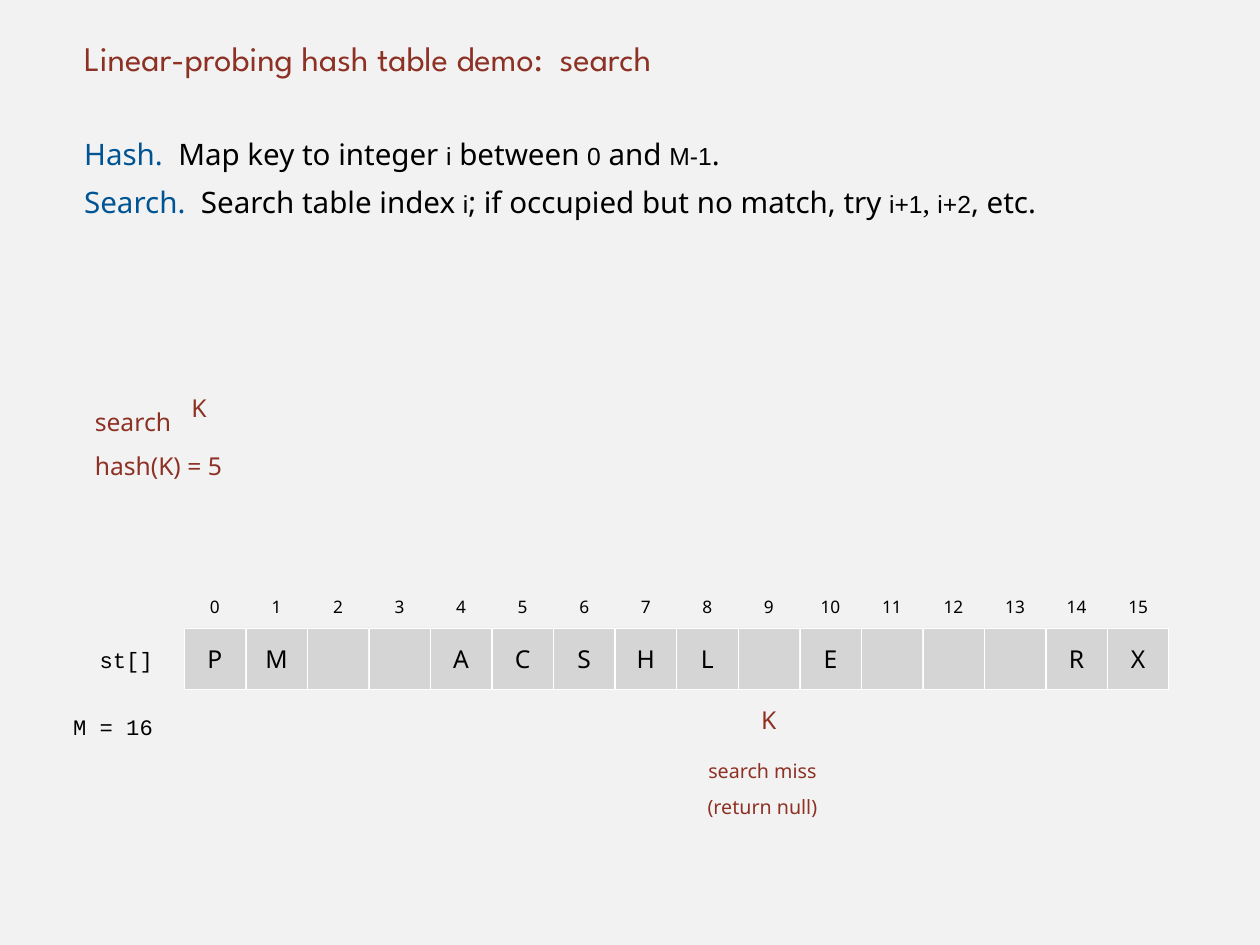
import dataclasses

import pptx
import pptx.dml.color
import pptx.enum.shapes
import pptx.enum.text
import pptx.util

Inches = pptx.util.Inches
Pt = pptx.util.Pt
ALIGN = pptx.enum.text.PP_ALIGN
ANCHOR = pptx.enum.text.MSO_ANCHOR


@dataclasses.dataclass(frozen=True)
class Theme:
    background: str = "F2F2F2"
    ink: str = "000000"
    accent: str = "8D3124"
    term: str = "005493"
    cell: str = "D5D5D5"
    border: str = "FFFFFF"
    title_font: str = "League Spartan"
    body_font: str = "Noto Sans"
    symbol_font: str = "Arial"
    serif_font: str = "Times New Roman"
    code_font: str = "Courier New"
    title_size: int = 28
    body_size: int = 24
    key_size: int = 20
    code_size: int = 18
    note_size: int = 16
    index_size: int = 14
    body_leading: int = 39
    indent: float = 0.06


def rgb(value):
    return pptx.dml.color.RGBColor.from_string(value)


class SlideBuilder:
    def __init__(self, prs, theme):
        self.theme = theme
        self.s = prs.slides.add_slide(prs.slide_layouts[5])
        fill = self.s.background.fill
        fill.solid()
        fill.fore_color.rgb = rgb(theme.background)

    def style_run(self, r, size, color, font):
        r.font.size = Pt(size)
        r.font.name = font
        r.font.color.rgb = rgb(color)

    def style_frame(self, sp, anchor, indent=0):
        tf = sp.text_frame
        tf.word_wrap = True
        tf.auto_size = pptx.enum.text.MSO_AUTO_SIZE.NONE
        tf.vertical_anchor = anchor
        tf.margin_left = Inches(indent)
        tf.margin_top = tf.margin_right = tf.margin_bottom = 0
        return tf

    def set_text(self, sp, text, size, color=None, font=None, align=ALIGN.CENTER,
                 anchor=ANCHOR.MIDDLE, spacing=1.0, indent=0):
        tf = self.style_frame(sp, anchor, indent)
        tf.text = text
        for p in tf.paragraphs:
            p.alignment = align
            p.line_spacing = spacing
            for r in p.runs:
                self.style_run(r, size, color or self.theme.ink,
                               font or self.theme.body_font)

    def box(self, left, top, width, height):
        return self.s.shapes.add_textbox(
            Inches(left), Inches(top), Inches(width), Inches(height))

    def title(self, text, left, top, width, height):
        sp = self.s.shapes.title
        sp.left, sp.top = Inches(left), Inches(top)
        sp.width, sp.height = Inches(width), Inches(height)
        th = self.theme
        self.set_text(sp, text, th.title_size, th.accent, th.title_font,
                      ALIGN.LEFT, ANCHOR.BOTTOM, indent=th.indent)

    def label(self, text, left, top, width, height, size, **style):
        self.set_text(self.box(left, top, width, height), text, size, **style)

    def definitions(self, lines, left, top, width, height):
        th = self.theme
        styles = {
            "term": (th.body_size, th.term, th.body_font),
            "text": (th.body_size, th.ink, th.body_font),
            "symbol": (th.key_size, th.ink, th.symbol_font),
            "serif": (th.body_size, th.ink, th.serif_font),
        }
        tf = self.style_frame(self.box(left, top, width, height),
                              ANCHOR.TOP, th.indent)
        for i, line in enumerate(lines):
            p = tf.add_paragraph() if i else tf.paragraphs[0]
            p.line_spacing = Pt(th.body_leading)
            for style, text in line:
                r = p.add_run()
                r.text = text
                self.style_run(r, *styles[style])

    def cell(self, key, left, top, side):
        sp = self.s.shapes.add_shape(
            pptx.enum.shapes.MSO_SHAPE.RECTANGLE,
            Inches(left), Inches(top), Inches(side), Inches(side))
        sp.shadow.inherit = False
        sp.fill.solid()
        sp.fill.fore_color.rgb = rgb(self.theme.cell)
        sp.line.color.rgb = rgb(self.theme.border)
        sp.line.width = Pt(0.5)
        self.set_text(sp, key, self.theme.key_size)


def main():
    prs = pptx.Presentation()
    prs.slide_width = Inches(14.22)
    prs.slide_height = Inches(10.67)
    th = Theme()
    s = SlideBuilder(prs, th)

    s.title("Linear-probing hash table demo:  search", 0.89, 0, 12.44, 0.89)
    s.definitions([
        [("term", "Hash.  "), ("text", "Map key to integer "), ("symbol", "i"),
         ("text", " between "), ("symbol", "0"), ("text", " and "),
         ("symbol", "M-1"), ("text", ".")],
        [("term", "Search.  "), ("text", "Search table index "), ("symbol", "i"),
         ("text", "; if occupied but no match, try "), ("symbol", "i+1"),
         ("serif", ", "), ("symbol", "i+2"), ("text", ", etc.")],
    ], 0.89, 1.39, 12.44, 8.89)

    table_left, table_top, side = 2.08, 7.09, 0.69
    pitch = 10.42 / 15
    keys = ["P", "M", "", "", "A", "C", "S", "H",
            "L", "", "E", "", "", "", "R", "X"]
    for i, key in enumerate(keys):
        left = table_left + i * pitch
        s.cell(key, left, table_top, side)
        s.label(str(i), left, 6.61, side, 0.48, th.index_size)

    code = dict(size=th.code_size, font=th.code_font,
                anchor=ANCHOR.TOP, spacing=1.2)
    s.label("st[]", 1.01, 7.24, 0.83, 0.4, **code)
    s.label("M = 16", 0.71, 8, 1.13, 0.56, **code)

    note = dict(color=th.accent, anchor=ANCHOR.TOP, spacing=1.5,
                indent=th.indent)
    s.label("search\nhash(K) = 5", 1.01, 4.43, 1.72, 0.91, th.key_size,
            align=ALIGN.LEFT, **note)
    s.label("search miss\n(return null)", 7.81, 8.44, 1.53, 0.74,
            th.note_size, **note)

    miss_left = table_left + 9 * pitch
    for left, top in [(1.9, 4.26), (miss_left, table_top + side)]:
        s.label("K", left, top, side, side, th.key_size, color=th.accent)

    prs.save("out.pptx")


if __name__ == "__main__":
    main()
